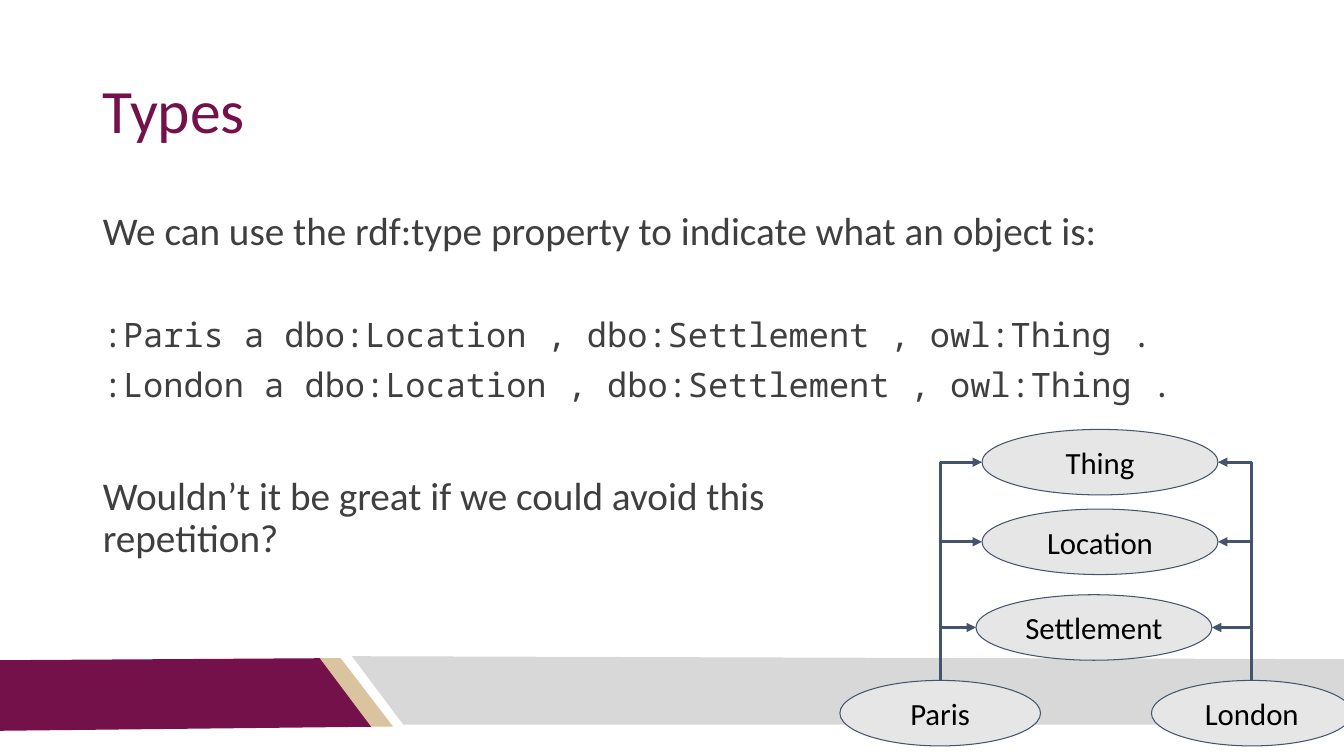
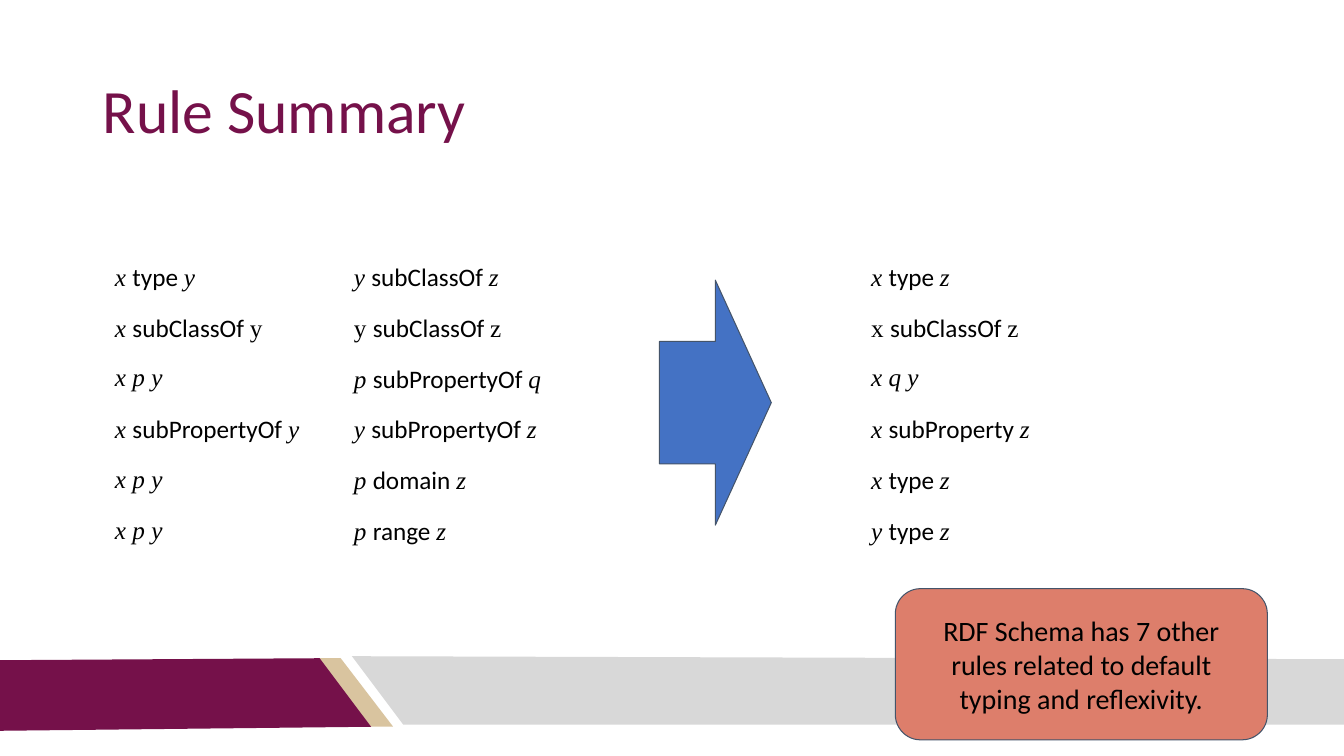
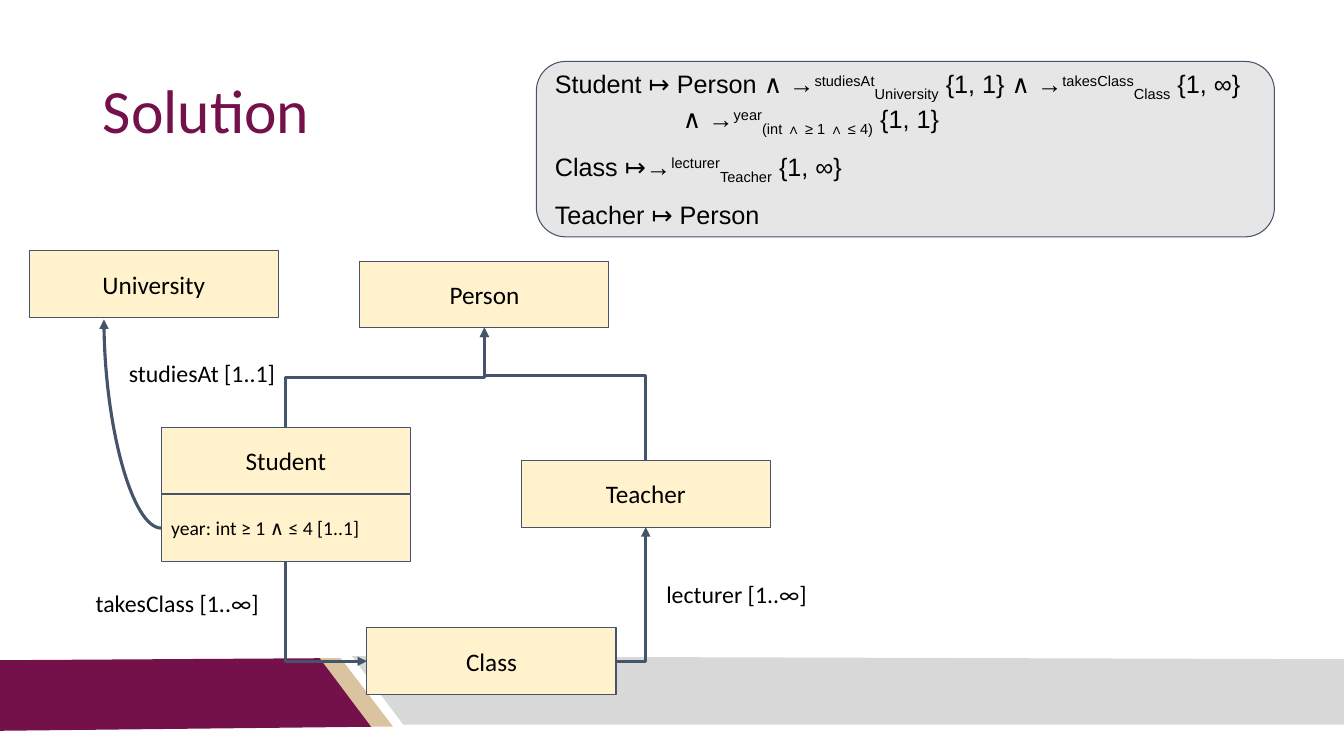
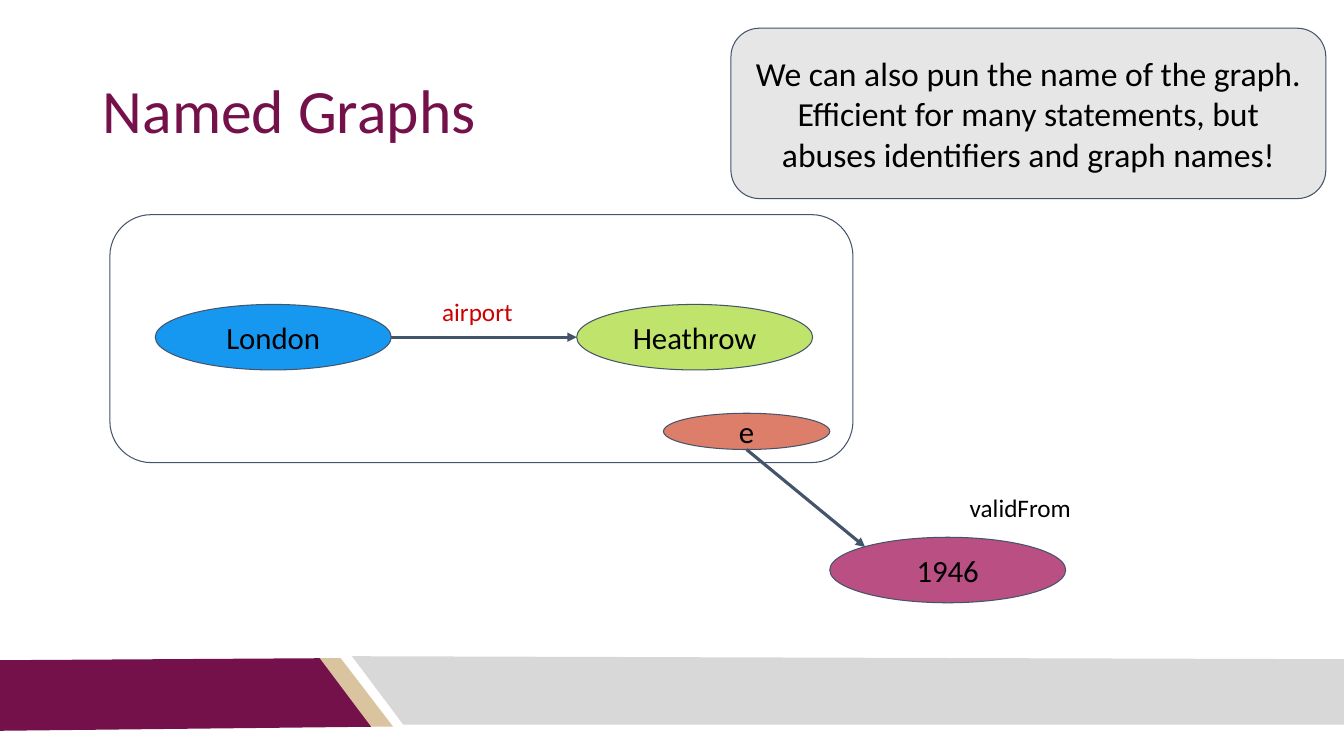
import pptx
import pptx.dml.color
import pptx.enum.shapes
import pptx.enum.text
import pptx.oxml.ns
import pptx.util
from lxml import etree
from pptx.util import Inches

SHAPE = pptx.enum.shapes.MSO_SHAPE
CONNECTOR = pptx.enum.shapes.MSO_CONNECTOR
ALIGN = pptx.enum.text.PP_ALIGN
ANCHOR = pptx.enum.text.MSO_ANCHOR
qn = pptx.oxml.ns.qn

BODY_FONT, CODE_FONT, VARIABLE_FONT, FORMULA_FONT = (
    "Calibri", "Noto Sans Mono", "Times New Roman", "Arial")
PLUM, GOLD, SILVER = "75114A", "D9C49F", "D8D8D8"
BLACK, BODY_GREY, OUTLINE = "000000", "3F3F3F", "44546A"
PALE_GREY, CREAM, CORAL = "E7E6E6", "FFF2CC", "DD7E6B"
SUPER, SUB = 30, -25

TITLE_AND_CONTENT, TITLE_ONLY = 1, 5
BANDS = [
    (GOLD, [(3.16, 6.53), (3.38, 6.53), (3.9, 7.21), (3.67, 7.21)]),
    (PLUM, [(-0.01, 6.55), (3.17, 6.53), (3.68, 7.21), (-0.01, 7.25)]),
    (SILVER, [(13.37, 7.19), (4, 7.19), (3.49, 6.51), (13.34, 6.54)]),
]


def rgb(hex_code):
    return pptx.dml.color.RGBColor.from_string(hex_code)


def set_font(font, size, color=BLACK, name=BODY_FONT):
    font.size = pptx.util.Pt(size)
    font.name = name
    font.color.rgb = rgb(color)


def place(item, left, top, width, height):
    item.left, item.top = Inches(left), Inches(top)
    item.width, item.height = Inches(width), Inches(height)


def prepare_frame(frame, anchor):
    frame.word_wrap = True
    frame.auto_size = pptx.enum.text.MSO_AUTO_SIZE.NONE
    frame.vertical_anchor = anchor
    frame.margin_left = frame.margin_right = Inches(0.1)
    frame.margin_top = frame.margin_bottom = Inches(0.1)


def new_paragraph(frame, index):
    return frame.paragraphs[0] if index == 0 else frame.add_paragraph()


def add_bands(master, slide):
    """Outline the footer bands on a slide, then move them to the master."""
    for number, (color, corners) in enumerate(BANDS):
        points = [(Inches(x), Inches(y)) for x, y in corners]
        builder = slide.shapes.build_freeform(*points[0])
        builder.add_line_segments(points[1:], close=True)
        band = builder.convert_to_shape()
        band.shadow.inherit = False
        band.fill.solid()
        band.fill.fore_color.rgb = rgb(color)
        band.line.fill.background()
        band._element.nvSpPr.cNvPr.set("id", str(20 + number))
        master.shapes._spTree.append(band._element)


def add_slide(prs, title, layout=TITLE_ONLY):
    slide = prs.slides.add_slide(prs.slide_layouts[layout])
    heading = slide.shapes.title
    place(heading, 0.92, 0.4, 11.5, 1.45)
    prepare_frame(heading.text_frame, ANCHOR.MIDDLE)
    heading.text_frame.text = title
    paragraph = heading.text_frame.paragraphs[0]
    paragraph.alignment = ALIGN.LEFT
    paragraph.line_spacing = 0.9
    set_font(paragraph.font, 44, PLUM)
    return slide


def add_node(slide, kind, box, fill=None, lines=(), size=22, align=ALIGN.CENTER, opacity=100):
    """Add an outlined shape with optional fill and centred text."""
    node = slide.shapes.add_shape(kind, *map(Inches, box))
    node.shadow.inherit = False
    if fill:
        node.fill.solid()
        node.fill.fore_color.rgb = rgb(fill)
        if opacity < 100:
            color = node._element.spPr.find(".//" + qn("a:srgbClr"))
            etree.SubElement(color, qn("a:alpha"), val=str(opacity * 1000))
    else:
        node.fill.background()
    node.line.color.rgb = rgb(OUTLINE)
    node.line.width = pptx.util.Pt(0.75)
    prepare_frame(node.text_frame, ANCHOR.MIDDLE)
    for index, line in enumerate(lines):
        paragraph = new_paragraph(node.text_frame, index)
        paragraph.text = line
        paragraph.alignment = align
        set_font(paragraph.font, size)
    return node


def add_ellipse(slide, box, label, fill, opacity=100):
    return add_node(slide, SHAPE.OVAL, box, fill, [label], opacity=opacity)


def add_class_box(slide, left, top, label, size=18, align=ALIGN.CENTER):
    return add_node(slide, SHAPE.RECTANGLE, (left, top, 2.47, 0.66), CREAM,
                    [label], size, align)


def add_label(slide, box, text, size, color=BLACK, align=ALIGN.LEFT):
    label = slide.shapes.add_textbox(*map(Inches, box))
    prepare_frame(label.text_frame, ANCHOR.TOP)
    paragraph = label.text_frame.paragraphs[0]
    paragraph.text = text
    paragraph.alignment = align
    set_font(paragraph.font, size, color)


def site(node, across, down):
    """Point at a fraction of the node's width and height."""
    return int(node.left + node.width * across), int(node.top + node.height * down)


def add_link(slide, kind, start, end, arrow="tailEnd", preset=None):
    """Add an arrow; two-part presets leave the start horizontally."""
    link = slide.shapes.add_connector(kind, *start, *end)
    link.line.color.rgb = rgb(OUTLINE)
    link.line.width = pptx.util.Pt(2.25)
    etree.SubElement(link.get_or_add_ln(), qn("a:" + arrow), type="triangle")
    properties = link._element.spPr
    etree.SubElement(properties, qn("a:effectLst"))
    if preset:
        properties.find(qn("a:prstGeom")).set("prst", preset)
    return link


def add_corner(slide, start, end, arrow="tailEnd"):
    add_link(slide, CONNECTOR.ELBOW, start, end, arrow, "bentConnector2")


def add_riser(slide, start, end, bend):
    """Add an arrow going up, across at the given fraction, and up again."""
    run, rise = end[0] - start[0], start[1] - end[1]
    turn = 1 if run > 0 else -1
    middle_x, middle_y = (start[0] + end[0]) / 2, (start[1] + end[1]) / 2
    link = add_link(slide, CONNECTOR.ELBOW,
                    (int(middle_x - turn * rise / 2), int(middle_y - abs(run) / 2)),
                    (int(middle_x + turn * rise / 2), int(middle_y + abs(run) / 2)))
    properties = link._element.spPr
    properties.find(qn("a:xfrm")).set("rot", str((180 + turn * 90) * 60000))
    adjustments = properties.find(qn("a:prstGeom")).get_or_add_avLst()
    etree.SubElement(adjustments, qn("a:gd"), name="adj1", fmla=f"val {round(bend * 100000)}")


def add_types_slide(prs):
    slide = add_slide(prs, "Types", TITLE_AND_CONTENT)
    body = slide.placeholders[1]
    place(body, 0.92, 2, 11.5, 4.17)
    prepare_frame(body.text_frame, ANCHOR.TOP)
    passages = [
        ("We can use the rdf:type property to indicate what an object is:", 28, BODY_FONT, 0),
        (":Paris a dbo:Location , dbo:Settlement , owl:Thing .", 24, CODE_FONT, 46),
        (":London a dbo:Location , dbo:Settlement , owl:Thing .", 24, CODE_FONT, 10),
        ("Wouldn’t it be great if we could avoid this\vrepetition?", 28, BODY_FONT, 51),
    ]
    for index, (text, size, font, before) in enumerate(passages):
        paragraph = new_paragraph(body.text_frame, index)
        paragraph.text = text
        properties = paragraph._p.get_or_add_pPr()
        properties.set("marL", "0")
        properties.set("indent", "0")
        etree.SubElement(properties, qn("a:buNone"))
        paragraph.line_spacing = 0.9
        paragraph.space_before = pptx.util.Pt(before)
        set_font(paragraph.font, size, BODY_GREY, font)

    paris, london = [add_ellipse(slide, (left, 6.75, 1.99, 0.65), city, PALE_GREY)
                     for city, left in (("Paris", 8.33), ("London", 11.42))]
    for label, left, top in (("Settlement", 9.68, 5.9), ("Location", 9.74, 5.05),
                             ("Thing", 9.74, 4.26)):
        kind = add_ellipse(slide, (left, top, 2.34, 0.65), label, PALE_GREY)
        for city, side in ((paris, 0), (london, 1)):
            add_corner(slide, site(kind, side, 0.5), site(city, 0.5, 0), "headEnd")
    return slide


def fill_rule_cell(cell, rule):
    """Write a rule: one-letter variables are italic unless marked with ^."""
    cell.fill.background()
    cell.margin_left = cell.margin_right = Inches(0.1)
    cell.margin_top = cell.margin_bottom = Inches(0.1)
    paragraph = cell.text_frame.paragraphs[0]
    words = rule.split()
    for index, word in enumerate(words):
        symbol = word.lstrip("^")
        is_variable = len(symbol) == 1
        run = paragraph.add_run()
        run.text = symbol + (" " if index < len(words) - 1 else "")
        set_font(run.font, 18, name=VARIABLE_FONT if is_variable else BODY_FONT)
        run.font.italic = is_variable and symbol == word


def add_rules_slide(prs):
    slide = add_slide(prs, "Rule Summary")
    rules = [
        ("x type y", "y subClassOf z", "x type z"),
        ("x subClassOf ^y", "^y subClassOf ^z", "^x subClassOf ^z"),
        ("x p y", "p subPropertyOf q", "x q y"),
        ("x subPropertyOf y", "y subPropertyOf z", "x subProperty z"),
        ("x p y", "p domain z", "x type z"),
        ("x p y", "p range z", "y type z"),
    ]
    widths, row_height = (2.37, 5.13, 3.75), 0.42
    table = slide.shapes.add_table(
        len(rules), len(widths), Inches(1.04), Inches(2.5),
        Inches(sum(widths)), Inches(row_height * len(rules))).table
    table.first_row = table.horz_banding = False
    for column, width in zip(table.columns, widths):
        column.width = Inches(width)
    for row, row_rules in zip(table.rows, rules):
        row.height = Inches(row_height)
        for cell, rule in zip(row.cells, row_rules):
            fill_rule_cell(cell, rule)
    add_node(slide, SHAPE.RIGHT_ARROW, (6.54, 2.78, 1.11, 2.43), "4472C4")
    add_node(slide, SHAPE.ROUNDED_RECTANGLE, (8.88, 5.84, 3.69, 1.5), CORAL,
             ["RDF Schema has 7 other rules related to default typing and reflexivity."], 20)


def add_formulas(slide):
    formulas = [
        (0, 0, [("Student ↦ Person ∧ →", 0), ("studiesAt", SUPER), ("University", SUB),
                (" {1, 1} ∧ →", 0), ("takesClass", SUPER), ("Class", SUB), (" {1, ∞}", 0)]),
        (1.27, 0, [("∧ →", 0), ("year", SUPER), ("(int ∧ ≥ 1 ∧ ≤ 4)", SUB), (" {1, 1}", 0)]),
        (0, 10, [("Class ↦→", 0), ("lecturer", SUPER), ("Teacher", SUB), (" {1, ∞}", 0)]),
        (0, 10, [("Teacher ↦ Person", 0)]),
    ]
    panel = add_node(slide, SHAPE.ROUNDED_RECTANGLE, (5.32, 0.61, 7.32, 1.74), PALE_GREY)
    for index, (indent, before, parts) in enumerate(formulas):
        paragraph = new_paragraph(panel.text_frame, index)
        paragraph.alignment = ALIGN.LEFT
        paragraph.space_before = pptx.util.Pt(before)
        paragraph._p.get_or_add_pPr().set("marL", str(Inches(indent)))
        for text, baseline in parts:
            run = paragraph.add_run()
            run.text = text
            set_font(run.font, 18, name=FORMULA_FONT)
            if baseline:
                run._r.get_or_add_rPr().set("baseline", str(baseline * 1000))
    paragraph.space_after = pptx.util.Pt(10)


def add_solution_slide(prs):
    slide = add_slide(prs, "Solution")
    student = add_class_box(slide, 1.6, 4.24, "Student")
    year = add_class_box(slide, 1.6, 4.91, "year: int ≥ 1 ∧ ≤ 4 [1..1]", 14, ALIGN.LEFT)
    teacher = add_class_box(slide, 5.17, 4.57, "Teacher")
    lesson = add_class_box(slide, 3.64, 6.23, "Class")
    university = add_class_box(slide, 0.29, 2.49, "University")
    person = add_class_box(slide, 3.57, 2.59, "Person")

    add_corner(slide, site(lesson, 1, 0.5), site(teacher, 0.5, 1))
    add_corner(slide, site(lesson, 0, 0.5), site(year, 0.5, 1), "headEnd")
    add_riser(slide, site(student, 0.5, 0), site(person, 0.5, 1), 0.5)
    add_riser(slide, site(teacher, 0.5, 0), site(person, 0.5, 1), 0.64)
    add_link(slide, CONNECTOR.CURVE, site(year, 0, 0.5), site(university, 0.3, 1.03),
             preset="curvedConnector2")
    for text, left, top in (("lecturer [1..∞]", 6.51, 5.65), ("takesClass [1..∞]", 0.85, 5.74),
                            ("studiesAt [1..1]", 1.18, 3.46)):
        add_label(slide, (left, top, 1.98, 0.49), text, 17)
    add_formulas(slide)


def add_graphs_slide(prs):
    slide = add_slide(prs, "Named Graphs")
    london = add_ellipse(slide, (1.54, 3.02, 2.34, 0.65), "London", "1798F0")
    heathrow = add_ellipse(slide, (5.72, 3.02, 2.34, 0.65), "Heathrow", "B0DD46", opacity=80)
    add_link(slide, CONNECTOR.STRAIGHT, site(london, 1, 0.5), site(heathrow, 0, 0.5))
    add_label(slide, (4.12, 2.84, 1.23, 0.5), "airport", 18, "CC0000", ALIGN.CENTER)
    add_node(slide, SHAPE.ROUNDED_RECTANGLE, (1.09, 2.13, 7.37, 2.46))
    graph_name = add_ellipse(slide, (6.58, 4.1, 1.65, 0.36), "e", CORAL)
    year = add_ellipse(slide, (8.23, 5.33, 2.34, 0.65), "1946", "B94F82")
    add_label(slide, (9.29, 4.78, 1.66, 0.5), "validFrom", 18, align=ALIGN.CENTER)
    add_link(slide, CONNECTOR.STRAIGHT, site(graph_name, 0.5, 1), site(year, 0.15, 0.15))
    add_node(slide, SHAPE.ROUNDED_RECTANGLE, (7.25, 0.28, 5.9, 1.69), PALE_GREY,
             ["We can also pun the name of the graph.",
              "Efficient for many statements, but abuses identifiers and graph names!"], 24)


def main():
    prs = pptx.Presentation()
    prs.slide_width, prs.slide_height = Inches(13.33), Inches(7.5)
    first_slide = add_types_slide(prs)
    add_bands(prs.slide_master, first_slide)
    add_rules_slide(prs)
    add_solution_slide(prs)
    add_graphs_slide(prs)
    prs.save("out.pptx")


if __name__ == "__main__":
    main()
